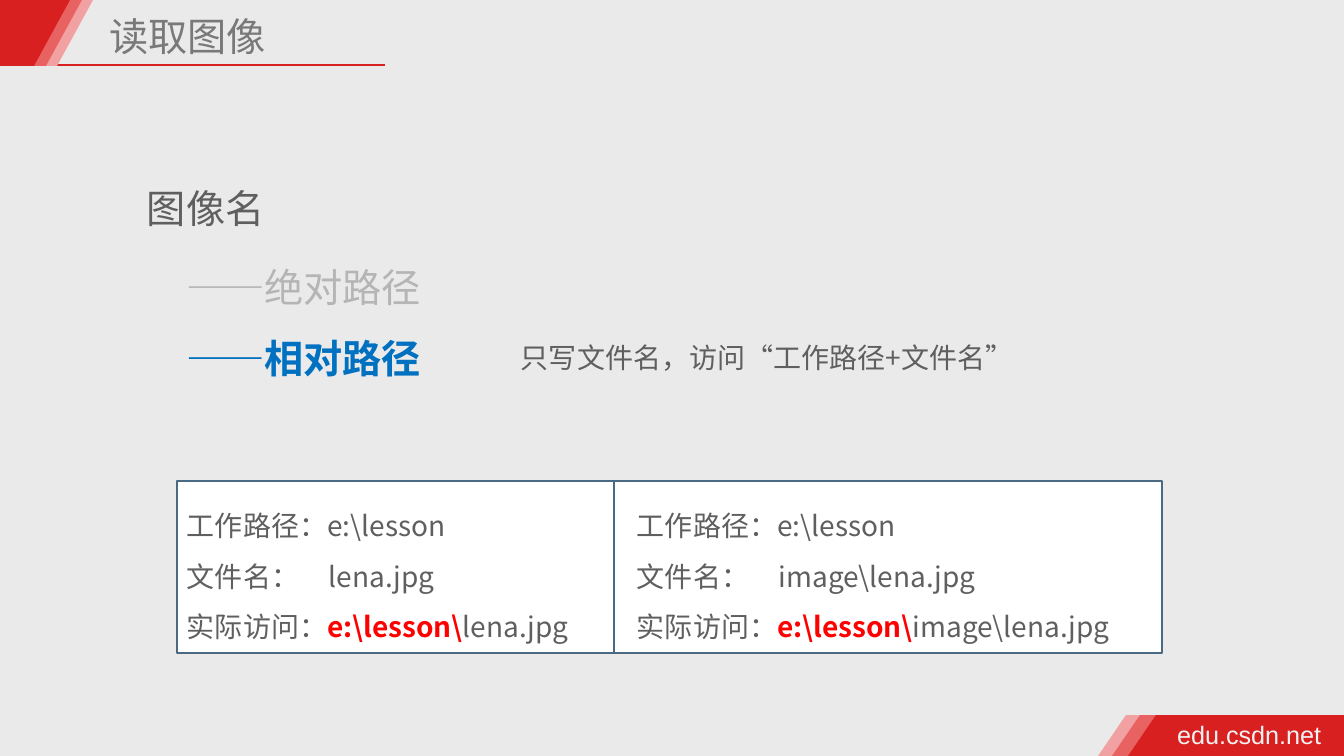
from lxml.etree import SubElement
from pptx import Presentation
from pptx.dml.color import RGBColor
from pptx.enum.shapes import MSO_CONNECTOR as Connector, MSO_SHAPE as Preset
from pptx.enum.text import MSO_ANCHOR as Anchor, MSO_AUTO_SIZE as AutoSize, PP_ALIGN as Align
from pptx.oxml.ns import qn
from pptx.util import Pt

EMU_PER_PX = 914400 / 100.8


def px(length):
    return round(length * EMU_PER_PX)


def color(hex_string):
    return RGBColor.from_string(hex_string)


class SlideBuilder:
    CJK = "Noto Sans CJK SC"
    BODY = "5F5F5F"
    RED = "D82020"
    RIBBON = ("F1A1A1", "E86262", RED)

    def __init__(self, slide):
        self.slide = slide
        self.shapes = slide.shapes

    def background(self, fill):
        self.slide.background.fill.solid()
        self.slide.background.fill.fore_color.rgb = color(fill)

    def paint(self, shape, fill, line=None):
        shape.shadow.inherit = False
        shape.fill.solid()
        shape.fill.fore_color.rgb = color(fill)
        if line:
            shape.line.color.rgb = color(line)
            shape.line.width = Pt(1)
        else:
            shape.line.fill.background()

    def panel(self, left, top, width, height):
        box = self.shapes.add_shape(Preset.RECTANGLE, px(left), px(top), px(width), px(height))
        self.paint(box, "FFFFFF", "4A6982")

    def polygon(self, points, fill):
        builder = self.shapes.build_freeform(*points[0], scale=EMU_PER_PX)
        builder.add_line_segments(points[1:], close=True)
        self.paint(builder.convert_to_shape(), fill)

    def rule(self, left, right, y, line):
        connector = self.shapes.add_connector(Connector.STRAIGHT, px(left), px(y), px(right), px(y))
        connector.line.color.rgb = color(line)
        connector.line.width = Pt(1)
        SubElement(connector._element.spPr, qn("a:effectLst"))

    def run(self, paragraph, text, size, fill=BODY, bold=False, font=CJK):
        run = paragraph.add_run()
        run.text = text
        run.font.size = Pt(size)
        run.font.bold = bold
        run.font.color.rgb = color(fill)
        run.font.name = font
        SubElement(run._r.get_or_add_rPr(), qn("a:ea"), typeface=font)

    def fill_frame(self, frame, lines, size, leading, tab=None, font=CJK):
        for index, runs in enumerate(lines):
            paragraph = frame.paragraphs[0] if index == 0 else frame.add_paragraph()
            paragraph.alignment = Align.LEFT
            if leading:
                paragraph.line_spacing = Pt(leading)
            if tab:
                tabs = SubElement(paragraph._p.get_or_add_pPr(), qn("a:tabLst"))
                SubElement(tabs, qn("a:tab"), pos=str(px(tab)), algn="l")
            for text, *style in runs:
                self.run(paragraph, text, size, *style, font=font)

    def inset(self, frame, side, end):
        frame.margin_left = frame.margin_right = px(side)
        frame.margin_top = frame.margin_bottom = px(end)

    def title(self, text, left, top, width, height):
        title = self.shapes.title
        title.left, title.top, title.width, title.height = map(px, (left, top, width, height))
        frame = title.text_frame
        frame.auto_size = AutoSize.NONE
        frame.vertical_anchor = Anchor.TOP
        self.inset(frame, 5, 5)
        self.fill_frame(frame, [[(text, "797979")]], 28, 30)

    def text(self, left, top, width, height, lines, size, tab=None):
        frame = self.shapes.add_textbox(px(left), px(top), px(width), px(height)).text_frame
        frame.word_wrap = True
        self.inset(frame, 10, 5)
        self.fill_frame(frame, lines, size, size * 1.8, tab)

    def label(self, left, top, width, height, text, fill):
        frame = self.shapes.add_textbox(px(left), px(top), px(width), px(height)).text_frame
        frame.word_wrap = False
        self.inset(frame, 5, 5)
        self.fill_frame(frame, [[(text, fill)]], 18, None, font="Arial")


def main():
    deck = Presentation()
    deck.slide_width, deck.slide_height = px(1344), px(756)
    page = SlideBuilder(deck.slides.add_slide(deck.slide_layouts[5]))
    page.background("EAEAEA")

    page.title("读取图像", 104, 12, 439, 53)
    page.rule(49, 385, 65, page.RED)
    for fill, edge in zip(page.RIBBON, (93, 82, 70)):
        page.polygon([(0, 0), (edge, 0), (edge - 36, 66), (0, 66)], fill)
    for fill, edge in zip(page.RIBBON, (1098, 1112, 1128)):
        page.polygon([(edge, 756), (edge + 28, 715), (1344, 715), (1344, 756)], fill)
    page.label(1172, 714, 156, 40, "edu.csdn.net", "F2F2F2")

    page.text(137, 156, 894, 73, [[("图像名",)]], 28)
    path_kinds = [[("——绝对路径", "B5B5B5")], [("——相对路径", "0070C0", True)]]
    page.text(176, 235, 894, 152, path_kinds, 28)
    page.text(511, 319, 559, 61, [[("只写文件名，访问“工作路径+文件名”",)]], 20)

    folder = "e:\\lesson"
    examples = (
        (177, 437, 177, "lena.jpg"),
        (614, 548, 627, "image\\lena.jpg"),
    )
    for panel_left, panel_width, text_left, file_name in examples:
        page.panel(panel_left, 481, panel_width, 172)
        lines = [
            [("工作路径：" + folder,)],
            [("文件名：\t" + file_name,)],
            [("实际访问：",), (folder + "\\", "FF0000", True), (file_name,)],
        ]
        page.text(text_left, 487, panel_left + panel_width - text_left, 163, lines, 20, tab=142)

    deck.save("out.pptx")


if __name__ == "__main__":
    main()
